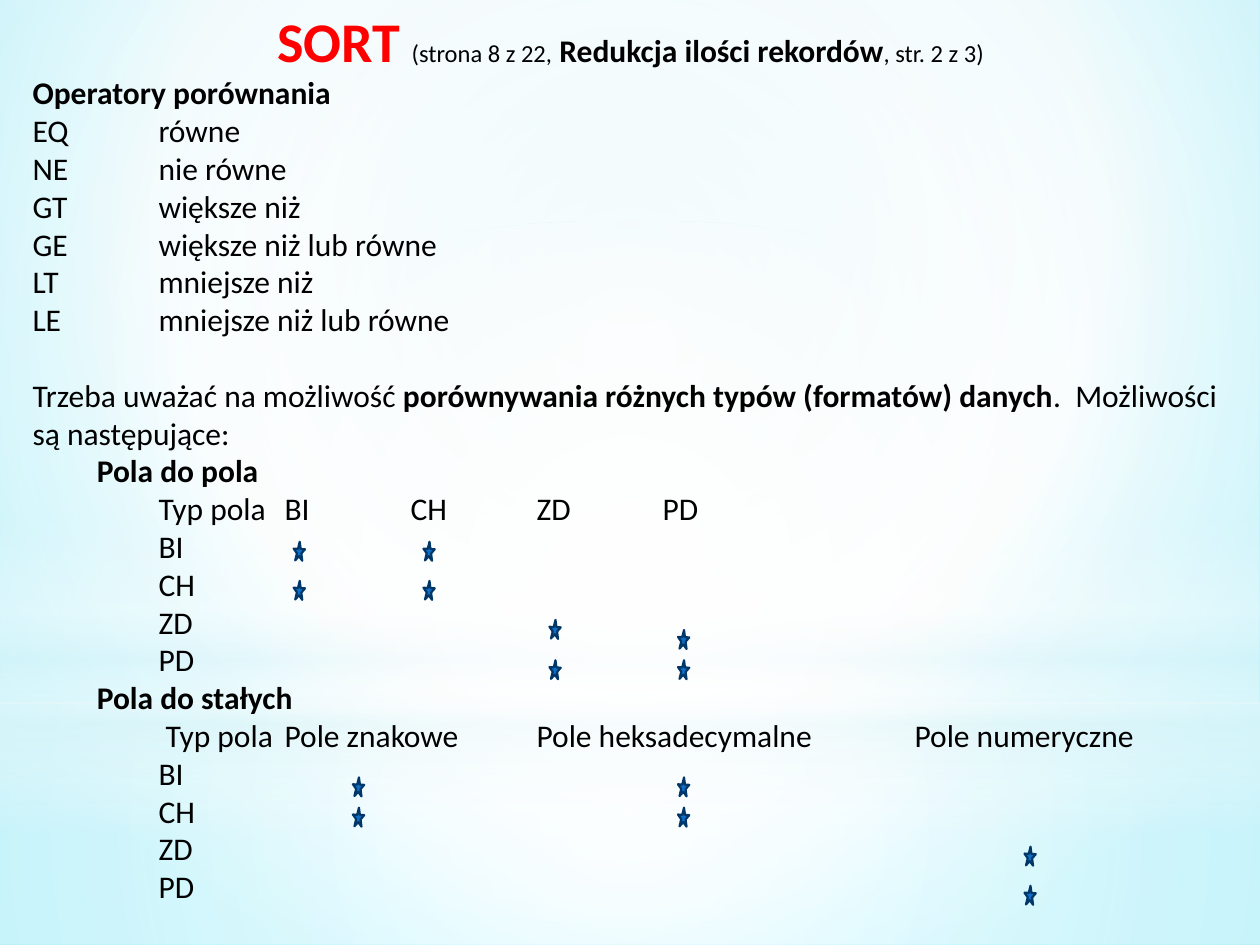
from itertools import product
from pptx import Presentation
from pptx.dml.color import RGBColor
from pptx.enum.shapes import MSO_SHAPE as Shape
from pptx.enum.text import MSO_AUTO_SIZE as AutoSize, PP_ALIGN as Align
from pptx.oxml import parse_xml
from pptx.oxml.ns import nsdecls, qn
from pptx.util import Inches, Pt

BLACK = RGBColor(0x00, 0x00, 0x00)
RED = RGBColor(0xFF, 0x00, 0x00)
BLUE = RGBColor(0x0F, 0x6F, 0xC6)
NAVY = RGBColor(0x00, 0x37, 0x68)
WHITE = RGBColor(0xFF, 0xFF, 0xFF)
MIST = RGBColor(0xDB, 0xF5, 0xF9)
AQUA = RGBColor(0xCA, 0xF0, 0xF6)
CYAN = RGBColor(0x79, 0xED, 0xFF)

COLUMNS, ROWS = 100, 75
CENTRE = '<a:path path="circle"><a:fillToRect l="50000" t="50000" r="50000" b="50000"/></a:path>'
UPPER = '<a:path path="circle"><a:fillToRect l="20000" t="10000" r="20000" b="60000"/></a:path>'
DOWN = '<a:lin ang="5400000" scaled="0"/>'


class SlideBuilder:
    font = "Calibri"
    size = 18

    def __init__(self, deck):
        self.page = deck.slides.add_slide(deck.slide_layouts[6])
        self.column = deck.slide_width / COLUMNS
        self.row = deck.slide_height / ROWS

    def area(self, left, top, width, height):
        return (round(left * self.column), round(top * self.row),
                round(width * self.column), round(height * self.row))

    def gradient(self, fill, properties, stops, direction):
        fill.background()
        marks = "".join(
            f'<a:gs pos="{place * 1000}"><a:srgbClr val="{colour}">'
            f'<a:alpha val="{alpha * 1000}"/></a:srgbClr></a:gs>'
            for place, colour, alpha in stops)
        properties.replace(properties.find(qn("a:noFill")), parse_xml(
            f'<a:gradFill {nsdecls("a")} rotWithShape="1">'
            f'<a:gsLst>{marks}</a:gsLst>{direction}</a:gradFill>'))

    def backdrop(self, stops, direction):
        fill = self.page.background.fill
        fill.background()
        properties = self.page.element.find(".//" + qn("p:bgPr"))
        self.gradient(fill, properties, stops, direction)

    def shape(self, kind, *area):
        shape = self.page.shapes.add_shape(kind, *self.area(*area))
        shape.shadow.inherit = False
        return shape

    def glow(self, kind, area, stops, direction=CENTRE):
        shape = self.shape(kind, *area)
        shape.line.fill.background()
        self.gradient(shape.fill, shape.element.spPr, stops, direction)

    def star(self, left, top):
        star = self.shape(Shape.STAR_5_POINT, left, top, 0.9, 1.5)
        star.rotation = 2.9
        star.fill.solid()
        star.fill.fore_color.rgb = BLUE
        star.line.color.rgb = NAVY
        star.line.width = Pt(1.25)

    def text_box(self, *area):
        frame = self.page.shapes.add_textbox(*self.area(*area)).text_frame
        frame.word_wrap = True
        frame.auto_size = AutoSize.SHAPE_TO_FIT_TEXT
        return frame

    def para(self, frame, *spans, align=Align.LEFT, indent=0, before=0):
        first = frame.paragraphs[0]
        para = frame.add_paragraph() if first.runs else first
        para.alignment = align
        para.space_before = Pt(before)
        properties = para._p.get_or_add_pPr()
        properties.set("defTabSz", str(Inches(1)))
        properties.set("marL", str(round(indent * self.column)))
        for span in spans:
            self.span(para, *span)

    def span(self, para, text, bold=False, size=size, colour=BLACK):
        span = para.add_run()
        span.text = text
        span.font.name = self.font
        span.font.size = Pt(size)
        span.font.bold = bold
        span.font.color.rgb = colour


def add_backdrop(slide):
    slide.backdrop([(0, AQUA, 100), (60, WHITE, 100), (100, CYAN, 100)], UPPER)
    slide.glow(Shape.RECTANGLE, (0, 55.8, 100, 19.2),
               [(0, WHITE, 91), (37, WHITE, 76), (100, MIST, 79)])
    slide.glow(Shape.RECTANGLE, (0, 0, 100, 55.8),
               [(0, WHITE, 89), (48, WHITE, 62), (100, MIST, 79)])
    slide.glow(Shape.RECTANGLE, (0, 41.2, 100, 25),
               [(0, WHITE, 0), (29, WHITE, 30), (45, MIST, 40),
                (55, WHITE, 26), (65, MIST, 60), (100, WHITE, 0)], DOWN)
    slide.glow(Shape.OVAL, (0, 17.5, 100, 55.8), [(0, WHITE, 100), (56, WHITE, 0)])


def add_text(slide):
    frame = slide.text_box(1.6, 0, 96.9, 73)
    slide.para(frame, ("SORT", True, 32, RED), (" ", True, 28),
               ("(strona 8 z 22,", False, 14), (" ",),
               ("Redukcja ilości rekordów", True), (", str. 2 z 3)", False, 14),
               align=Align.CENTER)
    slide.para(frame, ("Operatory porównania", True))
    operators = {"EQ": "równe", "NE": "nie równe", "GT": "większe niż",
                 "GE": "większe niż lub równe", "LT": "mniejsze niż",
                 "LE": "mniejsze niż lub równe"}
    for code, meaning in operators.items():
        slide.para(frame, (f"{code}\t{meaning}",))
    slide.para(frame, ("Trzeba uważać na możliwość ",),
               ("porównywania różnych typów (formatów) danych", True),
               (".  Możliwości są następujące:",), before=21.6)
    types = ["BI", "CH", "ZD", "PD"]
    tables = {"Pola do pola": ["Typ pola", *types],
              "Pola do stałych": [" Typ pola", "Pole znakowe",
                                  "Pole heksadecymalne", "Pole numeryczne"]}
    for heading, labels in tables.items():
        slide.para(frame, (heading, True), indent=5.1)
        for line in ["\t".join(labels), *types]:
            slide.para(frame, ("\t" + line,))


def add_stars(slide):
    pairs = [*product([23.3, 33.6], [43, 46.1]),
             (43.6, 49.2), (53.8, 50), *product([43.6, 53.8], [52.4]),
             *product([28, 53.8], [61.7, 64.1]),
             *product([81.3], [67.2, 70.3])]
    for left, top in pairs:
        slide.star(left, top)


def main():
    deck = Presentation()
    deck.slide_width, deck.slide_height = Inches(10), Inches(7.5)
    slide = SlideBuilder(deck)
    add_backdrop(slide)
    add_text(slide)
    add_stars(slide)
    deck.save("out.pptx")


if __name__ == "__main__":
    main()
